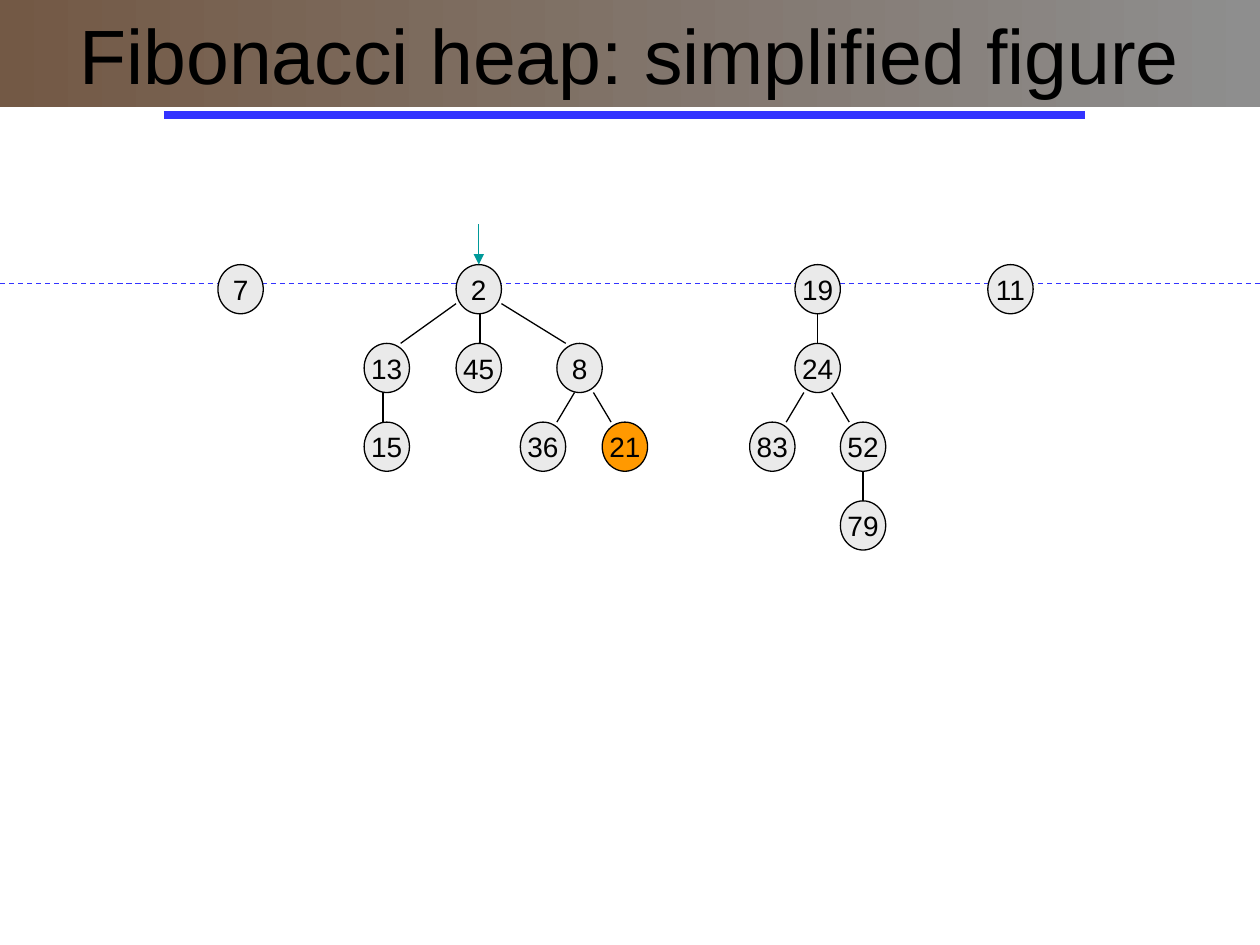
from dataclasses import dataclass

from lxml import etree
from pptx import Presentation
from pptx.dml.color import RGBColor as Rgb
from pptx.enum import dml, shapes, text
from pptx.oxml import ns
from pptx.util import Inches, Pt


@dataclass(frozen=True)
class Theme:
    font: str = "Arial"
    head: int = 44
    body: int = 16
    ink: str = "000000"
    node: str = "EAEAEA"
    mark: str = "FF9900"
    rule: str = "3333FF"
    arrow: str = "009999"
    left: str = "735945"
    right: str = "8E8E8E"
    thin: float = 0.75
    thick: float = 4.5


@dataclass(frozen=True)
class Node:
    key: int
    left: float
    row: int
    marked: bool = False


@dataclass(frozen=True)
class Edge:
    start: float
    end: float
    row: int
    child: int | None = None
    lift: float = 0


THEME = Theme()
WIDE, HIGH = 0.36, 0.39
TOP, STEP = 2.1, 0.625

NODES = [
    Node(7, 1.73, 0), Node(2, 3.62, 0), Node(19, 6.31, 0), Node(11, 7.84, 0),
    Node(13, 2.89, 1), Node(45, 3.62, 1), Node(8, 4.42, 1), Node(24, 6.31, 1),
    Node(15, 2.89, 2), Node(36, 4.13, 2), Node(21, 4.78, 2, True),
    Node(83, 5.95, 2), Node(52, 6.67, 2), Node(79, 6.67, 3),
]

EDGES = [
    Edge(3.62, 3.18, 0, lift=0.08), Edge(3.81, 3.81, 0),
    Edge(3.98, 4.49, 0, lift=0.08), Edge(6.49, 6.49, 0, 24),
    Edge(3.04, 3.04, 1), Edge(4.56, 4.42, 1), Edge(4.71, 4.85, 1),
    Edge(6.38, 6.24, 1), Edge(6.6, 6.74, 1), Edge(6.85, 6.85, 2, 79),
]


def level(row: int) -> float:
    return TOP + row * STEP


def style(frame, size: int) -> None:
    frame.vertical_anchor = text.MSO_ANCHOR.MIDDLE
    frame.margin_left = frame.margin_right = Inches(0.1)
    frame.margin_top = frame.margin_bottom = Inches(0.05)
    para = frame.paragraphs[0]
    para.alignment = text.PP_ALIGN.CENTER
    para.font.name = THEME.font
    para.font.size = Pt(size)
    para.font.color.rgb = Rgb.from_string(THEME.ink)


def add_title(slide, words: str) -> None:
    title = slide.shapes.title
    title.left, title.top = Inches(0), Inches(0)
    title.width, title.height = Inches(10), Inches(0.85)
    title.fill.gradient()
    title.fill.gradient_angle = 180
    for stop, hue in zip(title.fill.gradient_stops, (THEME.right, THEME.left)):
        stop.color.rgb = Rgb.from_string(hue)
    title.text_frame.text = words
    title.text_frame.auto_size = text.MSO_AUTO_SIZE.NONE
    style(title.text_frame, THEME.head)


def add_line(slide, x: float, y: float, to_x: float, to_y: float,
             hue: str, width: float = THEME.thin):
    line = slide.shapes.add_connector(
        shapes.MSO_CONNECTOR.STRAIGHT,
        Inches(x), Inches(y), Inches(to_x), Inches(to_y))
    line.line.color.rgb = Rgb.from_string(hue)
    line.line.width = Pt(width)
    etree.SubElement(line._element.spPr, ns.qn("a:effectLst"))
    return line


def add_node(slide, node: Node):
    oval = slide.shapes.add_shape(
        shapes.MSO_SHAPE.OVAL, Inches(node.left), Inches(level(node.row)),
        Inches(WIDE), Inches(HIGH))
    oval.shadow.inherit = False
    oval.fill.solid()
    oval.fill.fore_color.rgb = Rgb.from_string(
        THEME.mark if node.marked else THEME.node)
    oval.line.color.rgb = Rgb.from_string(THEME.ink)
    oval.line.width = Pt(THEME.thin)
    oval.text_frame.text = str(node.key)
    oval.text_frame.word_wrap = False
    style(oval.text_frame, THEME.body)
    return oval


def add_edge(slide, edge: Edge, ovals: dict) -> None:
    line = add_line(slide, edge.start, level(edge.row) + HIGH - edge.lift,
                    edge.end, level(edge.row + 1), THEME.ink)
    if edge.child is not None:
        line.end_connect(ovals[edge.child], 0)


def add_arrow(slide, root) -> None:
    arrow = add_line(slide, 3.8, 1.78, 3.8, TOP, THEME.arrow)
    arrow.end_connect(root, 0)
    etree.SubElement(arrow.line._get_or_add_ln(), ns.qn("a:tailEnd"),
                     type="triangle")


def main() -> None:
    deck = Presentation()
    deck.slide_width, deck.slide_height = Inches(10), Inches(7.5)
    slide = deck.slides.add_slide(deck.slide_layouts[5])
    add_title(slide, "Fibonacci heap: simplified figure")
    roots = add_line(slide, 0, 2.25, 10, 2.25, THEME.rule)
    roots.line.dash_style = dml.MSO_LINE.DASH
    add_line(slide, 1.3, 0.91, 8.61, 0.91, THEME.rule, THEME.thick)
    ovals = {node.key: add_node(slide, node) for node in NODES}
    for edge in EDGES:
        add_edge(slide, edge, ovals)
    add_arrow(slide, ovals[2])
    deck.save("out.pptx")


if __name__ == "__main__":
    main()
